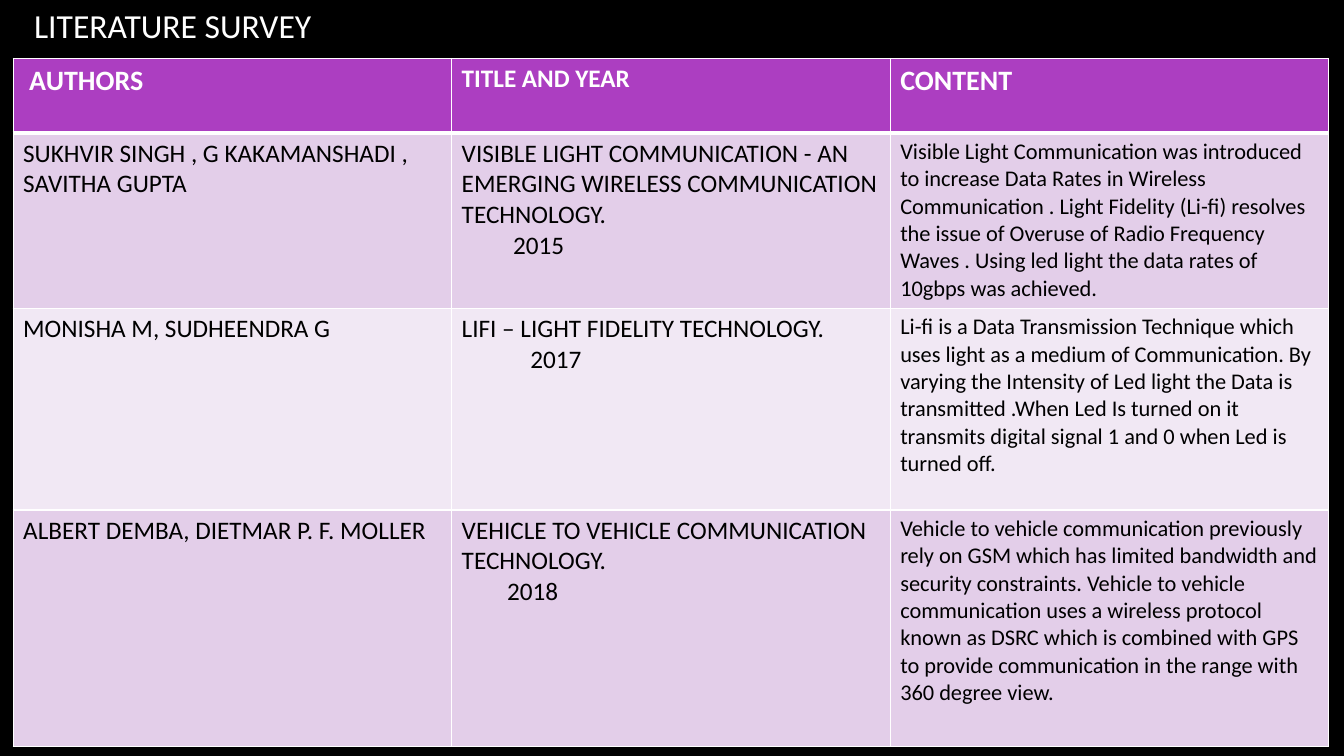
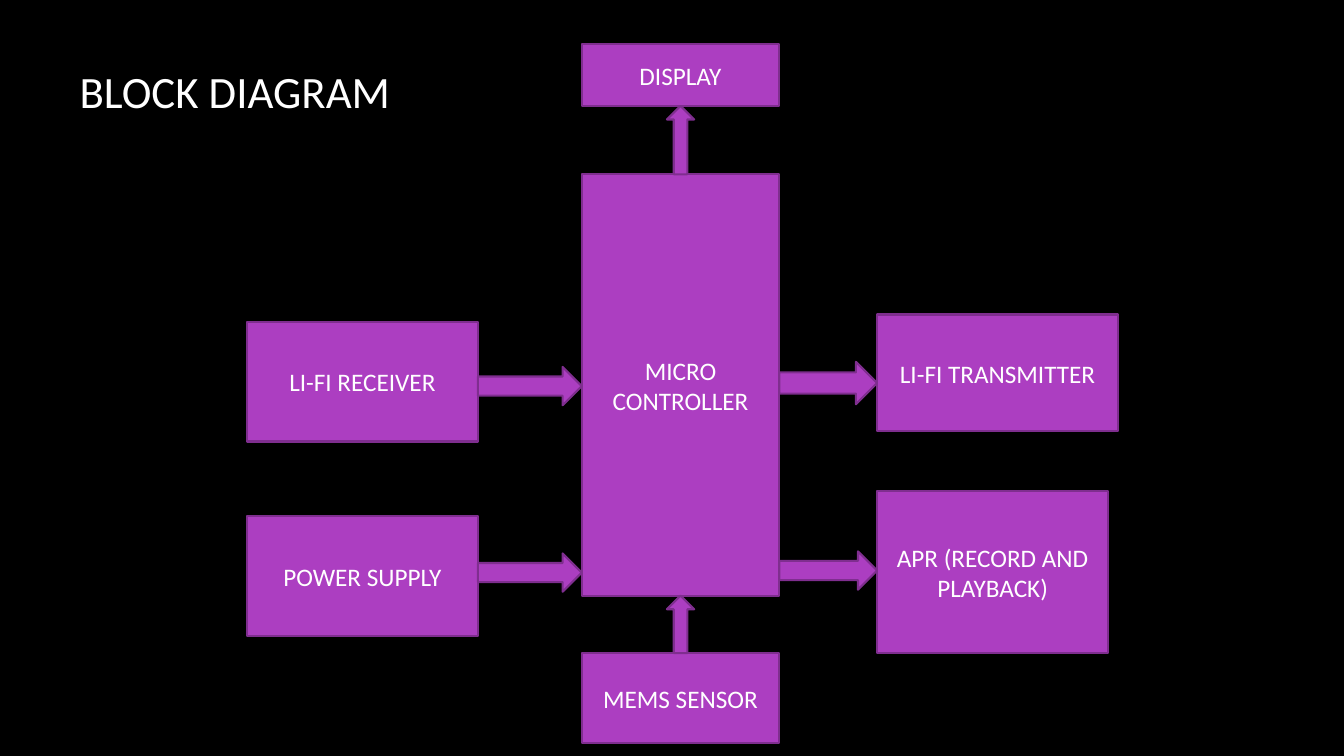
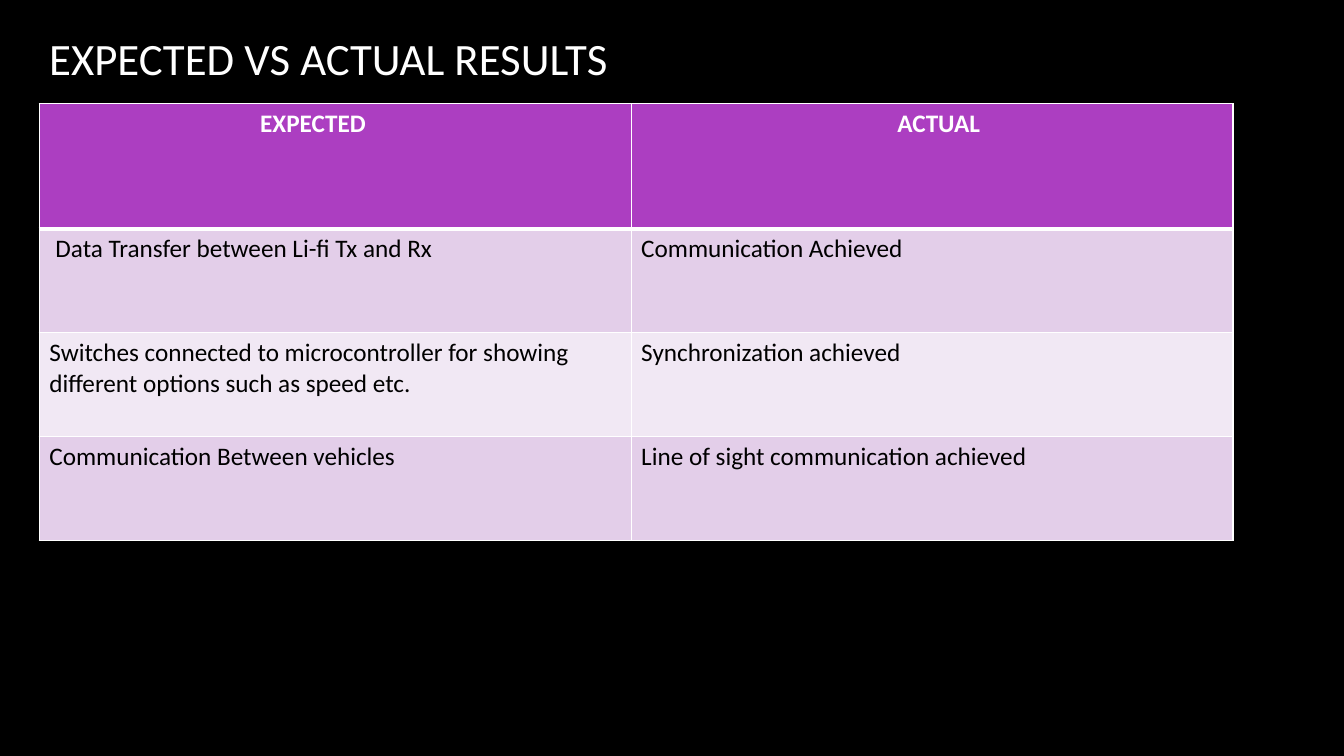
"""Builds a three-slide deck on Li-Fi vehicle communication."""
from dataclasses import dataclass

from lxml import etree
from pptx import Presentation
from pptx.dml.color import RGBColor
from pptx.enum.shapes import MSO_SHAPE
from pptx.enum.text import MSO_ANCHOR, PP_ALIGN
from pptx.oxml.ns import qn
from pptx.util import Inches, Pt

RECTANGLE = MSO_SHAPE.RECTANGLE
PROCESS = MSO_SHAPE.FLOWCHART_PROCESS
UP_ARROW = MSO_SHAPE.UP_ARROW
RIGHT_ARROW = MSO_SHAPE.RIGHT_ARROW
LEFT = PP_ALIGN.LEFT
CENTER = PP_ALIGN.CENTER
TOP = MSO_ANCHOR.TOP
MIDDLE = MSO_ANCHOR.MIDDLE


@dataclass(frozen=True)
class Theme:
    font: str = "Calibri"
    background: str = "000000"
    light_text: str = "FFFFFF"
    dark_text: str = "000000"
    accent: str = "AC3EC1"
    outline: str = "7F2E8F"
    bands: tuple = ("E3CEE9", "F1E8F4")
    border: str = "FFFFFF"
    title: int = 32
    small_title: int = 24
    large_header: int = 20
    body: int = 18
    small_body: int = 16
    outline_width: float = 1.5
    border_width: int = 1
    header_rule: int = 3


class Deck:
    def __init__(self, theme):
        self.theme = theme
        self.presentation = Presentation()
        self.presentation.slide_width = Inches(13.33)
        self.presentation.slide_height = Inches(7.5)
        self.slide = None

    def new_slide(self):
        layout = self.presentation.slide_layouts[6]
        self.slide = self.presentation.slides.add_slide(layout)
        self.fill(self.slide.background, self.theme.background)

    def fill(self, target, color):
        target.fill.solid()
        target.fill.fore_color.rgb = RGBColor.from_string(color)

    def add_text(self, paragraph, text, size, color, bold=False, align=LEFT):
        paragraph.alignment = align
        run = paragraph.add_run()
        run.text = text
        values = {"name": self.theme.font, "size": Pt(size), "bold": bold}
        for name, value in values.items():
            setattr(run.font, name, value)
        run.font.color.rgb = RGBColor.from_string(color)

    def title(self, text, box, size, anchor=TOP):
        shape = self.slide.shapes.add_textbox(*map(Inches, box))
        frame = shape.text_frame
        frame.word_wrap = True
        frame.vertical_anchor = anchor
        self.add_text(frame.paragraphs[0], text, size, self.theme.light_text)

    def block(self, kind, box, text=None):
        shape = self.slide.shapes.add_shape(kind, *map(Inches, box))
        shape.shadow.inherit = False
        self.fill(shape, self.theme.accent)
        shape.line.color.rgb = RGBColor.from_string(self.theme.outline)
        shape.line.width = Pt(self.theme.outline_width)
        if text:
            frame = shape.text_frame
            frame.word_wrap = True
            frame.vertical_anchor = MIDDLE
            self.add_text(frame.paragraphs[0], text, self.theme.body,
                          self.theme.light_text, align=CENTER)

    def borders(self, cell, row):
        properties = cell._tc.get_or_add_tcPr()
        thick = {0: "lnB", 1: "lnT"}.get(row)
        for side in ("lnL", "lnR", "lnT", "lnB"):
            width = self.theme.header_rule if side == thick else self.theme.border_width
            line = etree.SubElement(properties, qn(f"a:{side}"), w=str(Pt(width)))
            solid = etree.SubElement(line, qn("a:solidFill"))
            etree.SubElement(solid, qn("a:srgbClr"), val=self.theme.border)

    def cell(self, cell, row, content, size):
        theme = self.theme
        header = row == 0
        self.borders(cell, row)
        self.fill(cell, theme.accent if header else theme.bands[(row - 1) % 2])
        frame = cell.text_frame
        for index, (text, indent) in enumerate(content):
            paragraph = frame.add_paragraph() if index else frame.paragraphs[0]
            paragraph._p.get_or_add_pPr().set("marL", str(Inches(indent)))
            color = theme.light_text if header else theme.dark_text
            self.add_text(paragraph, text, size, color, header)

    def table(self, left, top, widths, heights, rows, header_sizes, body_sizes):
        box = (left, top, sum(widths), sum(heights))
        frame = self.slide.shapes.add_table(len(heights), len(widths), *map(Inches, box))
        table = frame.table
        table.first_row = table.horz_banding = False
        for column, width in zip(table.columns, widths):
            column.width = Inches(width)
        for table_row, height in zip(table.rows, heights):
            table_row.height = Inches(height)
        for row, contents in enumerate(rows):
            sizes = body_sizes if row else header_sizes
            for column, (content, size) in enumerate(zip(contents, sizes)):
                paragraphs = [(content, 0)] if isinstance(content, str) else content
                self.cell(table.cell(row, column), row, paragraphs, size)


def literature_survey(deck):
    theme = deck.theme
    deck.new_slide()
    rows = [
        ([("AUTHORS", 0.06)], "TITLE AND YEAR", "CONTENT"),
        ("SUKHVIR SINGH , G KAKAMANSHADI , SAVITHA GUPTA",
         [("VISIBLE LIGHT COMMUNICATION - AN EMERGING WIRELESS COMMUNICATION "
           "TECHNOLOGY.", 0), ("2015", 0.51)],
         "Visible Light Communication was introduced to increase Data Rates in "
         "Wireless Communication . Light Fidelity (Li-fi) resolves the issue of "
         "Overuse of Radio Frequency Waves . Using led light the data rates of "
         "10gbps was achieved."),
        ("MONISHA M, SUDHEENDRA G",
         [("LIFI – LIGHT FIDELITY TECHNOLOGY.", 0), ("2017", 0.68)],
         "Li-fi is a Data Transmission Technique which uses light as a medium of "
         "Communication. By varying the Intensity of Led light the Data is "
         "transmitted .When Led Is turned on it transmits digital signal 1 and 0 "
         "when Led is turned off."),
        ("ALBERT DEMBA, DIETMAR P. F. MOLLER",
         [("VEHICLE TO VEHICLE COMMUNICATION TECHNOLOGY.", 0), ("2018", 0.45)],
         "Vehicle to vehicle communication previously rely on GSM which has "
         "limited bandwidth and security constraints. Vehicle to vehicle "
         "communication uses a wireless protocol known as DSRC which is combined "
         "with GPS to provide communication in the range with 360 degree view."),
    ]
    deck.table(0.13, 0.58, [4.35] * 3, [0.74, 1.74, 2, 2.35], rows,
               (theme.large_header, theme.body, theme.large_header),
               (theme.body, theme.body, theme.small_body))
    deck.title("LITERATURE SURVEY", (0.24, 0, 2.98, 0.5), theme.small_title)


def block_diagram(deck):
    deck.new_slide()
    deck.title("BLOCK DIAGRAM", (0.69, 0.1, 11.08, 1.59), deck.theme.title, MIDDLE)

    input_left, input_width = 2.45, 2.29
    core_left, core_width = 5.77, 1.96
    output_left = 8.7
    input_right = input_left + input_width
    core_right = core_left + core_width

    deck.block(PROCESS, (core_left, 1.73, core_width, 4.18), "MICRO CONTROLLER")
    for text, top, height in (("DISPLAY", 0.44, 0.61), ("MEMS SENSOR", 6.48, 0.89)):
        deck.block(RECTANGLE, (core_left, top, core_width, height), text)
    for text, top in (("LI-FI RECEIVER", 3.19), ("POWER SUPPLY", 5.12)):
        deck.block(RECTANGLE, (input_left, top, input_width, 1.19), text)
    for text, top, width, height in (("LI-FI TRANSMITTER", 3.12, 2.39, 1.16),
                                     ("APR (RECORD AND PLAYBACK)", 4.87, 2.29, 1.61)):
        deck.block(RECTANGLE, (output_left, top, width, height), text)

    arrow_width = 0.27
    arrow_left = core_left + (core_width - arrow_width) / 2
    for top, bottom in ((1.05, 1.73), (5.91, 6.48)):
        deck.block(UP_ARROW, (arrow_left, top, arrow_width, bottom - top))
    for start, end, top, height in ((input_right, core_left, 3.64, 0.38),
                                    (input_right, core_left, 5.49, 0.38),
                                    (core_right, output_left, 3.59, 0.42),
                                    (core_right, output_left, 5.47, 0.38)):
        deck.block(RIGHT_ARROW, (start, top, end - start, height))


def results(deck):
    theme = deck.theme
    deck.new_slide()
    rows = [
        ([("EXPECTED", 2.09)], [("ACTUAL", 2.54)]),
        ([("Data Transfer between Li-fi Tx and Rx", 0.06)], "Communication Achieved"),
        ("Switches connected to microcontroller for showing different options "
         "such as speed etc.", "Synchronization achieved"),
        ("Communication Between vehicles", "Line of sight communication achieved"),
    ]
    sizes = (theme.body, theme.body)
    deck.table(0.39, 1.03, [5.87, 5.97], [1.24] + [1.03] * 3, rows, sizes, sizes)
    deck.title("EXPECTED VS ACTUAL RESULTS", (0.39, 0.26, 5.8, 0.64), theme.title)


def main():
    deck = Deck(Theme())
    for build in (literature_survey, block_diagram, results):
        build(deck)
    deck.presentation.save("out.pptx")


if __name__ == "__main__":
    main()
